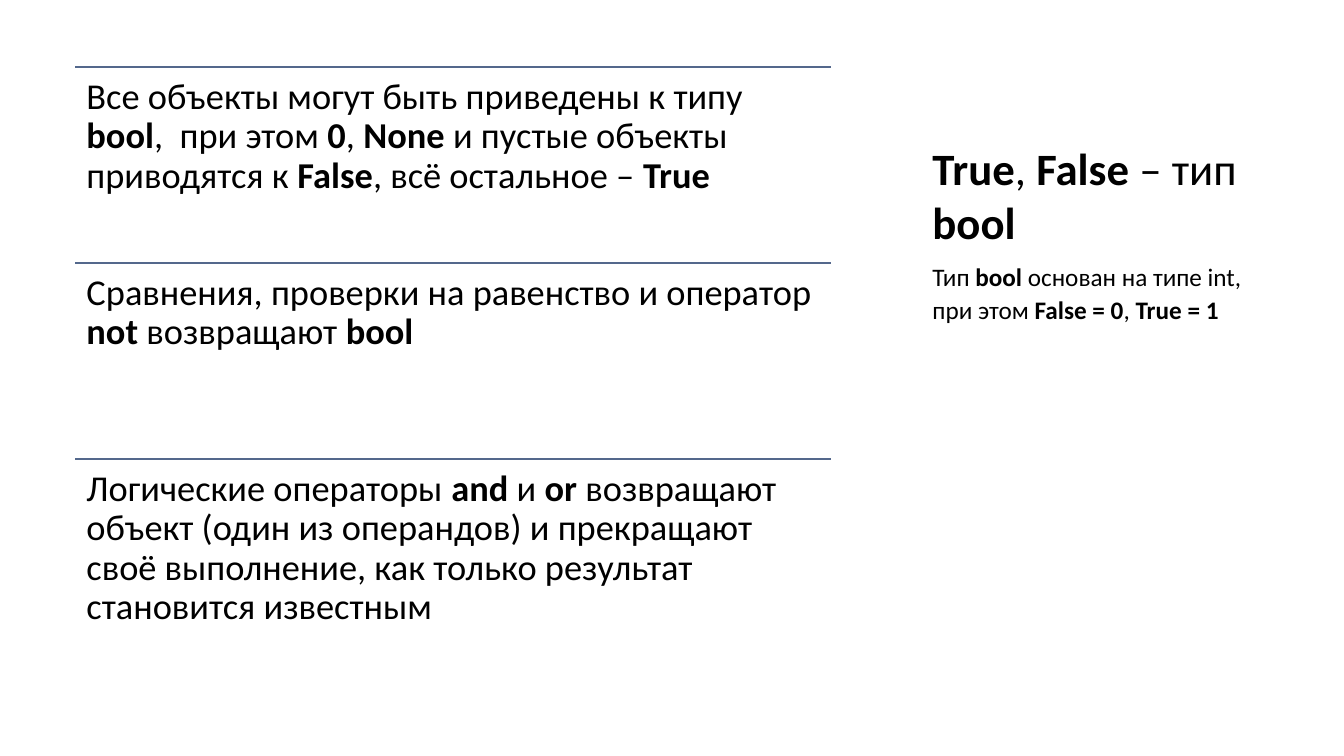
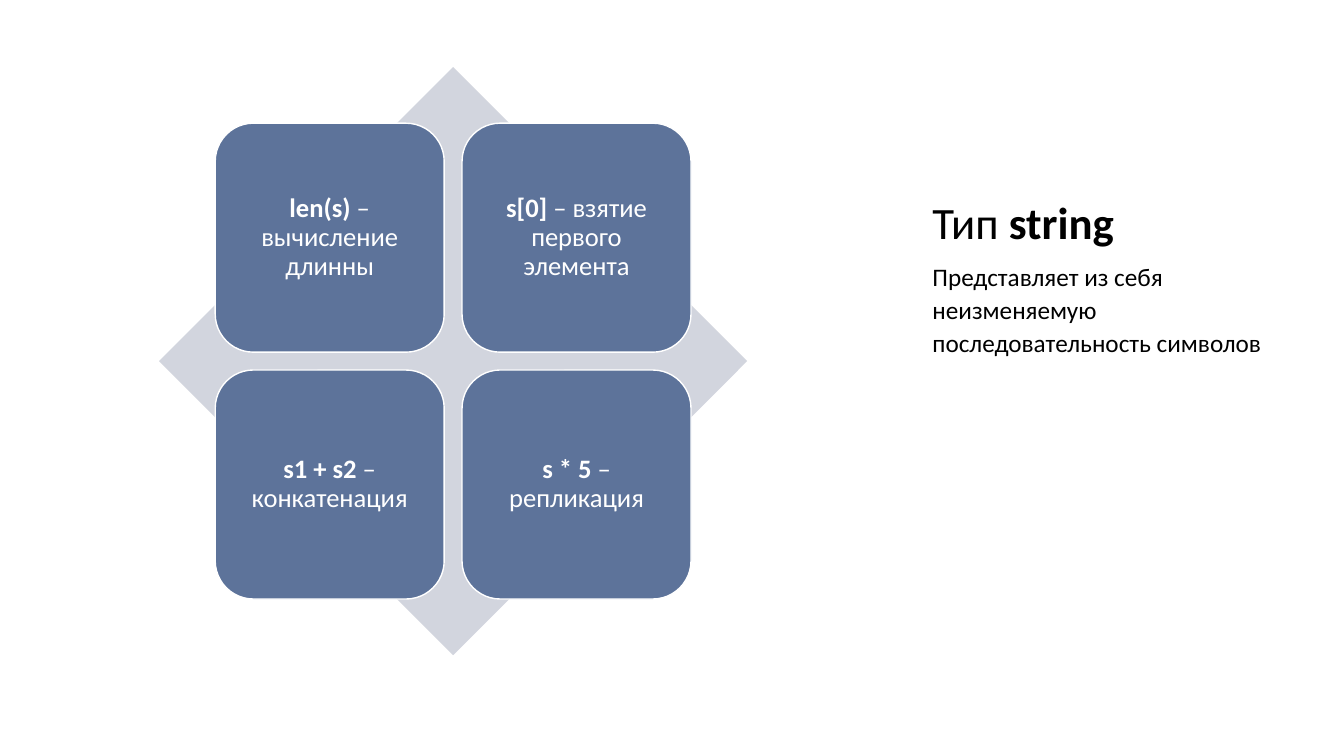
from pptx import Presentation
from pptx import util as u
from pptx.dml.color import RGBColor
from pptx.enum import shapes, text
from pptx.oxml.ns import qn
from lxml import etree

COLOURS = {
    "ink": "000000",
    "white": "FFFFFF",
    "rule": "54688C",
    "tile": "5D739A",
    "diamond": "D2D5DE",
}
FONT = "Calibri"

# Text styles: frame, paragraph and font values
STYLES = {
    "title": {
        "inset": 0, "size": 32, "colour": "ink",
        "frame": {"vertical_anchor": text.MSO_ANCHOR.BOTTOM},
        "para": {},
    },
    "body": {
        "inset": 0, "size": 18, "colour": "ink",
        "frame": {"vertical_anchor": text.MSO_ANCHOR.TOP},
        "para": {"line_spacing": 1.1, "space_before": u.Pt(8)},
    },
    "statement": {
        "inset": 0.28, "size": 26, "colour": "ink",
        "frame": {"vertical_anchor": text.MSO_ANCHOR.TOP},
        "para": {"line_spacing": 0.9},
    },
    "tile": {
        "inset": 0.2, "size": 19, "colour": "white",
        "frame": {"vertical_anchor": text.MSO_ANCHOR.MIDDLE},
        "para": {"line_spacing": 0.9, "alignment": text.PP_ALIGN.CENTER},
    },
}

# Content area and side column, in centimetres
TOP = 1.69
HEIGHT = 14.82
RULE_LEFT, RULE_WIDTH = 1.9, 19.05
SIDE_LEFT, SIDE_WIDTH = 23.5, 8.79
DIAMOND_LEFT = 4.01
TILE_SIZE, TILE_STEP = 5.77, 6.22

# Double asterisks switch bold on and off
STATEMENTS = [
    "Все объекты могут быть приведены к типу **bool**,  при этом **0**, "
    "**None **и пустые объекты приводятся к **False**, всё остальное – **True**",
    "Сравнения, проверки на равенство и оператор **not** возвращают **bool**",
    "Логические операторы **and **и **or **возвращают объект (один из "
    "операндов) и прекращают своё выполнение, как только результат "
    "становится известным",
]
OPERATIONS = [
    "**len(s)** – вычисление длинны",
    "**s[0] **– взятие первого элемента",
    "**s1 + s2 **– конкатенация",
    "**s * 5 **– репликация",
]


def colour(name):
    return RGBColor.from_string(COLOURS[name])


def set_values(target, values):
    for name, value in values.items():
        setattr(target, name, value)


def write(box, content, style_name):
    """Fill a shape with one paragraph of plain and bold spans."""
    style = STYLES[style_name]
    frame = box.text_frame
    margins = dict.fromkeys(
        ("margin_left", "margin_top", "margin_right", "margin_bottom"),
        u.Cm(style["inset"]))
    set_values(frame, {"word_wrap": True, **margins, **style["frame"]})
    para = frame.paragraphs[0]
    set_values(para, style["para"])
    for index, part in enumerate(content.split("**")):
        if part:
            span = para.add_run()
            span.text = part
            set_values(span.font, {"name": FONT, "size": u.Pt(style["size"]),
                                   "bold": index % 2 == 1})
            span.font.color.rgb = colour(style["colour"])


def add_text(page, left, top, width, height, content, style_name):
    box = page.shapes.add_textbox(*map(u.Cm, (left, top, width, height)))
    write(box, content, style_name)


def add_rule(page, left, top, width):
    rule = page.shapes.add_connector(
        shapes.MSO_CONNECTOR.STRAIGHT,
        *map(u.Cm, (left, top, left + width, top)))
    rule.line.color.rgb = colour("rule")
    rule.line.width = u.Pt(1)
    etree.SubElement(rule._element.spPr, qn("a:effectLst"))


def add_figure(page, kind, left, top, size, fill, outline=None):
    figure = page.shapes.add_shape(
        kind, *map(u.Cm, (left, top, size, size)))
    figure.shadow.inherit = False
    figure.fill.solid()
    figure.fill.fore_color.rgb = colour(fill)
    if outline:
        figure.line.color.rgb = colour(outline)
        figure.line.width = u.Pt(1)
    else:
        figure.line.fill.background()
    return figure


def add_page(deck, title, body):
    """Blank page with the shared side column."""
    page = deck.slides.add_slide(deck.slide_layouts[6])
    add_text(page, SIDE_LEFT, 1.68, SIDE_WIDTH, 4.57, title, "title")
    add_text(page, SIDE_LEFT, 6.5, SIDE_WIDTH, 10.01, body, "body")
    return page


def add_statements(page, statements):
    row = HEIGHT / len(statements)
    for index, statement in enumerate(statements):
        top = TOP + index * row
        add_rule(page, RULE_LEFT, top, RULE_WIDTH)
        add_text(page, RULE_LEFT, top, RULE_WIDTH, row, statement, "statement")


def add_matrix(page, operations):
    """Two by two tiles centred on a diamond."""
    add_figure(page, shapes.MSO_SHAPE.DIAMOND, DIAMOND_LEFT, TOP, HEIGHT,
               "diamond")
    margin = (HEIGHT - TILE_STEP - TILE_SIZE) / 2
    for index, operation in enumerate(operations):
        row, column = divmod(index, 2)
        tile = add_figure(page, shapes.MSO_SHAPE.ROUNDED_RECTANGLE,
                          DIAMOND_LEFT + margin + column * TILE_STEP,
                          TOP + margin + row * TILE_STEP,
                          TILE_SIZE, "tile", "white")
        write(tile, operation, "tile")


def main():
    deck = Presentation()
    set_values(deck, {"slide_width": u.Cm(33.87), "slide_height": u.Cm(19.05)})

    # Type bool
    page = add_page(deck, "**True**, **False** – тип **bool**",
                    "Тип **bool **основан на типе int, при этом "
                    "**False = 0**, **True = 1**")
    add_statements(page, STATEMENTS)

    # Type string
    page = add_page(deck, "Тип **string**",
                    "Представляет из себя неизменяемую "
                    "последовательность символов")
    add_matrix(page, OPERATIONS)

    deck.save("out.pptx")


main()
